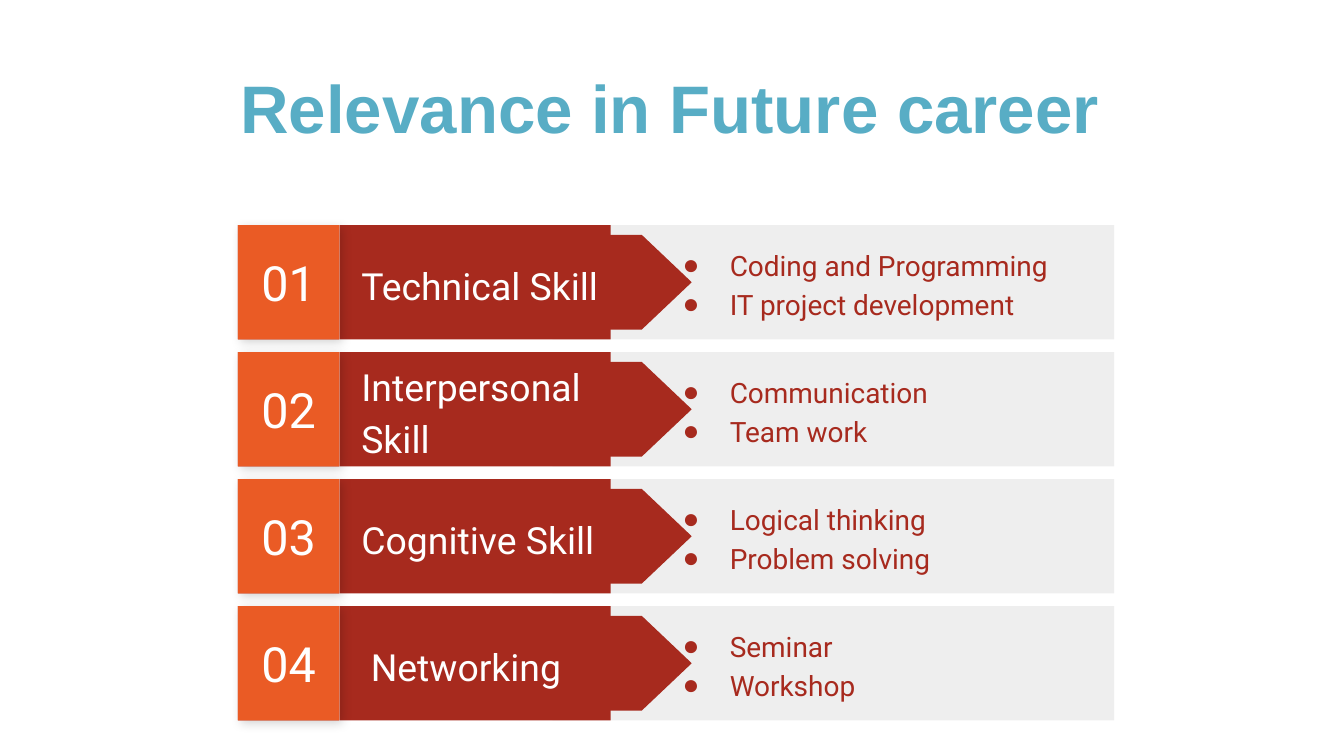
"""Build a slide of four career skills, each a numbered band with a short list."""
from dataclasses import dataclass

from lxml import etree
from pptx import Presentation
from pptx.dml import color
from pptx.enum import shapes, text
from pptx.oxml import ns
from pptx.util import Emu, Pt

PX = 4572
TOP, HIGH, STEP = 335, 170, 189
RED, RUST, ORANGE, GREY = "A72A1E", "B02C20", "EA5B25", "EEEEEE"
WHITE, BLUE = "FFFFFF", "58ADC5"
RECT = shapes.MSO_SHAPE.RECTANGLE
ARROW = shapes.MSO_SHAPE.FLOWCHART_OFFPAGE_CONNECTOR
LEFT, MID = text.PP_ALIGN.LEFT, text.PP_ALIGN.CENTER


@dataclass
class Skill:
    name: str
    items: tuple[str, ...]
    inset: int = 0


SKILLS = [
    Skill("Technical Skill", ("Coding and Programming", "IT project development")),
    Skill("Interpersonal Skill", ("Communication", "Team work")),
    Skill("Cognitive Skill", ("Logical thinking", "Problem solving")),
    Skill("Networking", ("Seminar", "Workshop"), inset=14),
]


def px(n: int) -> Emu:
    return Emu(n * PX)


def rgb(code: str) -> color.RGBColor:
    return color.RGBColor.from_string(code)


def place(shape, x: int, y: int, w: int, h: int) -> None:
    shape.left, shape.top, shape.width, shape.height = map(px, (x, y, w, h))


def block(slide, x: int, y: int, w: int, h: int, fill: str, kind=RECT, turn: int = 0):
    shape = slide.shapes.add_shape(kind, px(x), px(y), px(w), px(h))
    shape.rotation = turn
    shape.shadow.inherit = False
    shape.fill.solid()
    shape.fill.fore_color.rgb = rgb(fill)
    shape.line.fill.background()
    return shape


def shade(shape) -> None:
    effects = shape._element.spPr.find(ns.qn("a:effectLst"))
    drop = etree.SubElement(effects, ns.qn("a:outerShdw"), blurRad=str(Pt(5.6)),
                            dist=str(Pt(2.2)), dir="2700000", algn="bl", rotWithShape="0")
    tint = etree.SubElement(drop, ns.qn("a:srgbClr"), val="000000")
    etree.SubElement(tint, ns.qn("a:alpha"), val="17000")


def bullet(para, tint: str) -> None:
    props = para._p.get_or_add_pPr()
    props.set("marL", str(px(100)))
    props.set("indent", str(px(-70)))
    mark = etree.SubElement(props, ns.qn("a:buClr"))
    etree.SubElement(mark, ns.qn("a:srgbClr"), val=tint)
    etree.SubElement(props, ns.qn("a:buFont"), typeface="Arial")
    etree.SubElement(props, ns.qn("a:buChar"), char="●")


def write(shape, *lines: str, size: int, tint: str = WHITE, face: str = "Roboto",
          bold: bool = False, align=LEFT, anchor=text.MSO_ANCHOR.MIDDLE,
          space: float = 1.0, dots: bool = False, inset: int = 0) -> None:
    frame = shape.text_frame
    frame.word_wrap = True
    frame.auto_size = text.MSO_AUTO_SIZE.NONE
    frame.vertical_anchor = anchor
    frame.margin_left = frame.margin_right = px(20)
    frame.margin_top = frame.margin_bottom = px(20)
    frame.text = "\n".join(lines)
    for para in frame.paragraphs:
        para.alignment = align
        para.line_spacing = space
        para.space_before = para.space_after = Pt(0)
        if dots:
            bullet(para, tint)
        elif inset:
            para._p.get_or_add_pPr().set("marL", str(px(inset)))
        font = para.font
        font.size, font.name, font.bold = Pt(size), face, bold
        font.color.rgb = rgb(tint)


def band(slide, skill: Skill, rank: int, body) -> None:
    y = TOP + rank * STEP
    block(slide, 822, y, 836, HIGH, GREY)
    block(slide, 506, y, 403, HIGH, RED)
    block(slide, 773, y - 101, 141, 372, RED, ARROW, 270)
    label = slide.shapes.add_textbox(px(518), px(y + 20), px(424), px(130))
    write(label, skill.name, size=20, space=1.15, inset=skill.inset)
    shade(block(slide, 354, y, 151, HIGH, RUST))
    badge = block(slide, 354, y, 151, HIGH, ORANGE)
    write(badge, f"{rank + 1:02}", size=26, align=MID)
    place(body, 966, y, 650, HIGH)
    write(body, *skill.items, size=15, tint=RED, space=1.15, dots=True)
    slide.shapes._spTree.append(body._element)


def main() -> None:
    deck = Presentation()
    deck.slide_width, deck.slide_height = px(2000), px(1125)
    slide = deck.slides.add_slide(deck.slide_layouts.get_by_name("Comparison"))
    title, *bodies = list(slide.placeholders)[:5]
    place(title, 102, 78, 1790, 154)
    write(title, "Relevance in Future career", size=36, tint=BLUE, face="Arial",
          bold=True, align=MID, anchor=text.MSO_ANCHOR.TOP)
    for rank, (skill, body) in enumerate(zip(SKILLS, bodies)):
        band(slide, skill, rank, body)
    deck.save("out.pptx")


if __name__ == "__main__":
    main()
